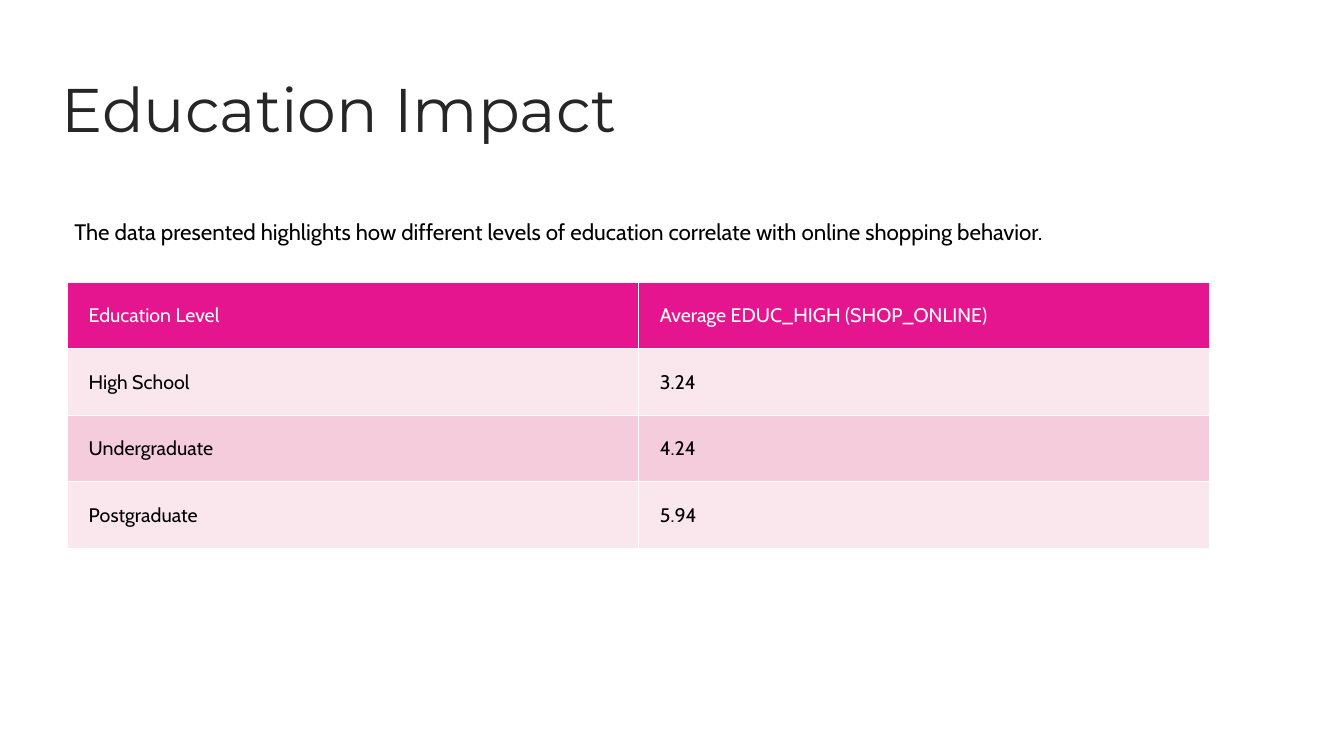
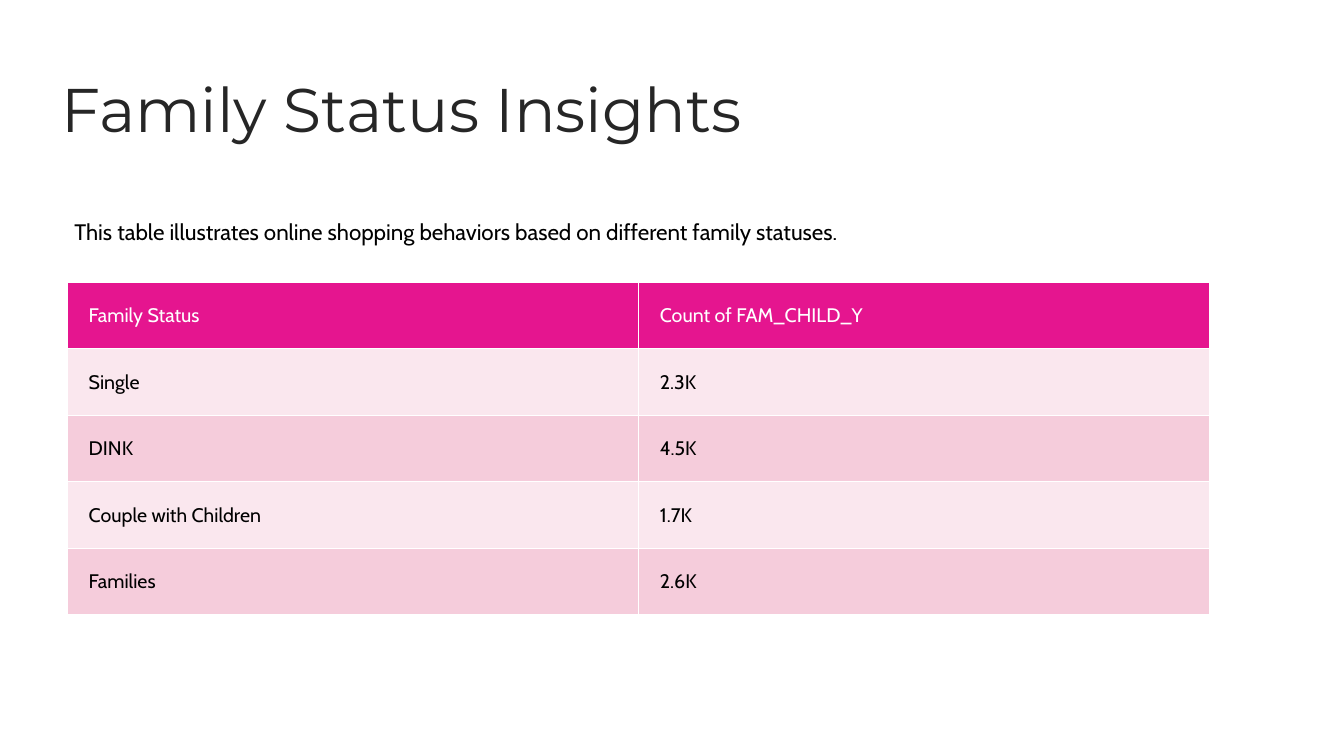
from lxml import etree
from pptx import Presentation
from pptx.dml.color import RGBColor
from pptx.enum import text
from pptx.oxml import ns
from pptx.util import Inches, Pt

COLORS = {
    "title": "262626",
    "body": "000000",
    "white": "FFFFFF",
    "header": "E5158F",
    "odd_row": "FAE7EE",
    "even_row": "F5CCDB",
}
FONTS = {"title": "Montserrat", "body": "Cabin"}

SLIDES = [
    {
        "title": "Education Impact",
        "intro": "The data presented highlights how different levels of education "
                 "correlate with online shopping behavior.",
        "rows": [
            ("Education Level", "Average EDUC_HIGH (SHOP_ONLINE)"),
            ("High School", "3.24"),
            ("Undergraduate", "4.24"),
            ("Postgraduate", "5.94"),
        ],
    },
    {
        "title": "Family Status Insights",
        "intro": "This table illustrates online shopping behaviors based on "
                 "different family statuses.",
        "rows": [
            ("Family Status", "Count of FAM_CHILD_Y"),
            ("Single", "2.3K"),
            ("DINK", "4.5K"),
            ("Couple with Children", "1.7K"),
            ("Families", "2.6K"),
        ],
    },
]

# Left, top, width, height in inches
TITLE_BOX = (0.51, 0.65, 11.42, 1.17)
INTRO_BOX = (0.64, 1.94, 10.76, 0.72)
TABLE_LEFT, TABLE_TOP, TABLE_WIDTH = 0.67, 2.8, 11.33
ROW_HEIGHT = 0.66
CELL_INSET = 0.21


def add_run(frame, words, font, size, color):
    run = frame.paragraphs[0].add_run()
    run.text = words
    run.font.name = FONTS[font]
    run.font.size = Pt(size)
    run.font.bold = False
    run.font.color.rgb = RGBColor.from_string(COLORS[color])


def add_text(slide, box, words, font, size, color, anchor):
    frame = slide.shapes.add_textbox(*map(Inches, box)).text_frame
    frame.word_wrap = True
    frame.vertical_anchor = anchor
    add_run(frame, words, font, size, color)


def add_borders(cell, color, points=1):
    """Draw all four cell edges; call before filling, as the schema puts lines first."""
    properties = cell._tc.get_or_add_tcPr()
    for edge in ("a:lnL", "a:lnR", "a:lnT", "a:lnB"):
        line = etree.SubElement(properties, ns.qn(edge), w=str(Pt(points)))
        fill = etree.SubElement(line, ns.qn("a:solidFill"))
        etree.SubElement(fill, ns.qn("a:srgbClr"), val=COLORS[color])


def style_cell(cell, words, fill, color):
    cell.margin_left = cell.margin_right = Inches(CELL_INSET)
    cell.margin_top = cell.margin_bottom = Inches(CELL_INSET)
    cell.vertical_anchor = text.MSO_ANCHOR.MIDDLE
    add_borders(cell, "white")
    cell.fill.solid()
    cell.fill.fore_color.rgb = RGBColor.from_string(COLORS[fill])
    add_run(cell.text_frame, words, "body", 14, color)


def add_data_table(slide, rows):
    box = (TABLE_LEFT, TABLE_TOP, TABLE_WIDTH, ROW_HEIGHT * len(rows))
    table = slide.shapes.add_table(len(rows), len(rows[0]), *map(Inches, box)).table
    for row_index, row in enumerate(rows):
        if row_index == 0:
            fill, color = "header", "white"
        else:
            fill, color = ("odd_row" if row_index % 2 else "even_row"), "body"
        for column_index, words in enumerate(row):
            style_cell(table.cell(row_index, column_index), words, fill, color)


def main():
    presentation = Presentation()
    presentation.slide_width = Inches(13.33)
    presentation.slide_height = Inches(7.5)
    blank = presentation.slide_layouts[6]
    for content in SLIDES:
        slide = presentation.slides.add_slide(blank)
        add_data_table(slide, content["rows"])
        add_text(slide, TITLE_BOX, content["title"], "title", 44, "title",
                 text.MSO_ANCHOR.TOP)
        add_text(slide, INTRO_BOX, content["intro"], "body", 16, "body",
                 text.MSO_ANCHOR.MIDDLE)
    presentation.save("out.pptx")


if __name__ == "__main__":
    main()
